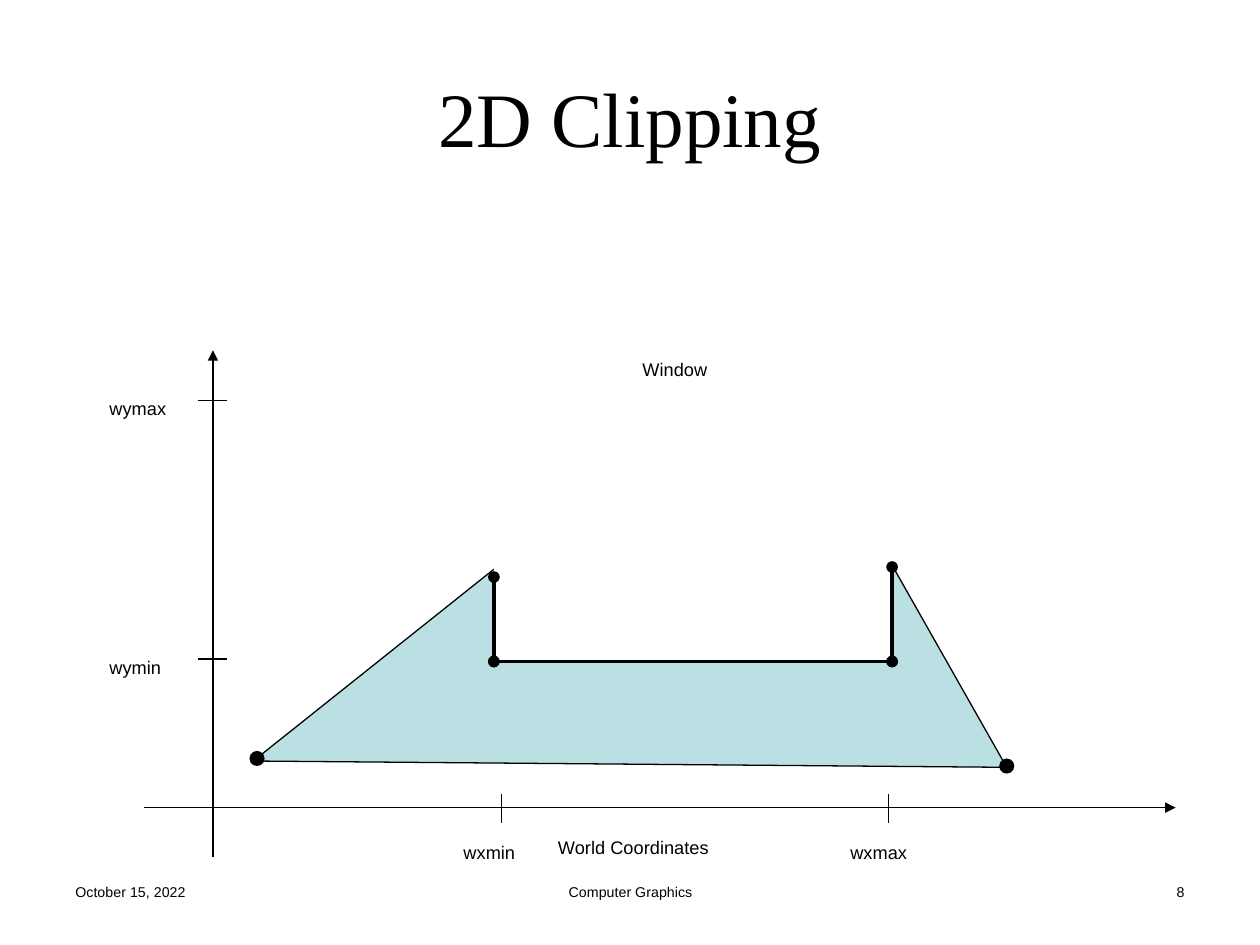
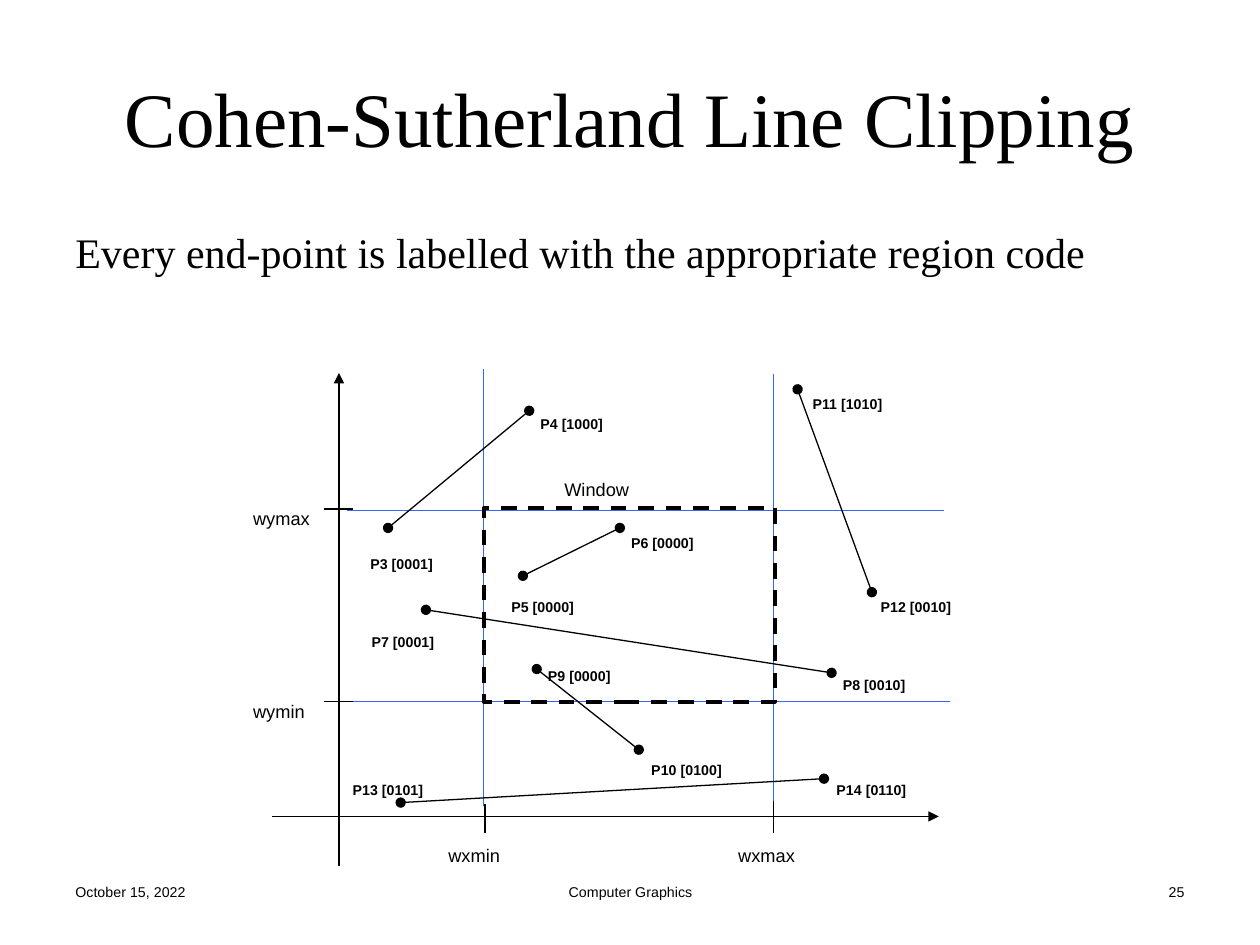
"""Builds two lecture slides on 2D clipping and Cohen-Sutherland region codes."""
import pptx
import pptx.dml.color
import pptx.enum.dml
import pptx.enum.shapes
import pptx.enum.text
import pptx.oxml
import pptx.util
from pptx.util import Inches

BLACK = pptx.dml.color.RGBColor(0, 0, 0)
WHITE = pptx.dml.color.RGBColor(255, 255, 255)
TEAL = pptx.dml.color.RGBColor(0xBB, 0xE0, 0xE3)
BLUE = pptx.dml.color.RGBColor(0x33, 0x66, 0xFF)
SANS, SERIF = "Arial", "Times New Roman"
SHAPE = pptx.enum.shapes.MSO_SHAPE
ALIGN = pptx.enum.text.PP_ALIGN
LOWERED = "-25000"

DATE, COURSE = "October 15, 2022", "Computer Graphics"

CLIPPING = {
    "title": "2D Clipping",
    "number": "8",
    "polygon": [(2.01, 6.04), (4.47, 4.08), (4.94, 4.8), (5.29, 3.72),
                (5.88, 4.34), (6.47, 3.41), (7.99, 6.09)],
    "axes": [(1.14, 6.41, 9.33, 6.41), (1.69, 6.8, 1.69, 2.78)],
    "ticks": [(1.8, 3.18, 1.57, 3.18), (1.8, 5.23, 1.57, 5.23),
              (3.98, 6.3, 3.98, 6.53), (7.05, 6.3, 7.05, 6.53)],
    "labels": [("wymax", 0.77, 2.94), ("wymin", 0.77, 4.99),
               ("wxmin", 3.58, 6.46), ("wxmax", 6.65, 6.46),
               ("Window", 5, 2.63), ("World Coordinates", 4.33, 6.42)],
    "vertices": [(1.98, 5.96), (7.93, 6.02)],
    "cleared": (3.92, 3.17, 3.17, 2.08),
    "edges": [(3.92, 4.58, 3.92, 5.25), (7.08, 4.5, 7.08, 5.25),
              (3.92, 5.25, 7.08, 5.25)],
}

REGIONS = {
    "title": "Cohen-Sutherland Line Clipping",
    "number": "25",
    "body": "Every end-point is labelled with the appropriate region code",
    "boundaries": [(3.84, 2.93, 3.84, 6.4), (6.14, 2.97, 6.14, 6.44),
                   (7.49, 4.05, 2.75, 4.05), (7.54, 5.57, 2.8, 5.57)],
    "axes": [(2.16, 6.48, 7.45, 6.48), (2.69, 6.87, 2.69, 2.96)],
    "window": (3.84, 4.03, 2.31, 1.54),
    "ticks": [(2.8, 4.04, 2.57, 4.04), (2.8, 5.57, 2.57, 5.57),
              (3.85, 6.38, 3.85, 6.61), (6.14, 6.36, 6.14, 6.61)],
    "labels": [("wymax", 1.91, 3.81), ("wymin", 1.91, 5.34),
               ("wxmin", 3.46, 6.48), ("wxmax", 5.76, 6.48),
               ("Window", 4.38, 3.58)],
    "segments": [(4.15, 4.57, 4.92, 4.19), (3.08, 4.19, 4.2, 3.26),
                 (4.26, 5.31, 5.07, 5.95), (3.38, 4.84, 6.6, 5.34),
                 (6.92, 4.7, 6.33, 3.09), (3.18, 6.37, 6.54, 6.18)],
    "codes": [("P3 [0001]", 2.84, 4.23), ("P6 [0000]", 4.91, 4.06),
              ("P5 [0000]", 3.96, 4.57), ("P7 [0001]", 2.85, 4.85),
              ("P10 [0100]", 5.07, 5.86), ("P9 [0000]", 4.25, 5.12),
              ("P4 [1000]", 4.19, 3.12), ("P8 [0010]", 6.59, 5.19),
              ("P12 [0010]", 6.89, 4.57), ("P11 [1010]", 6.35, 2.96),
              ("P13 [0101]", 2.7, 6.02), ("P14 [0110]", 6.54, 6.02)],
}


def style(p, size, name, bold=False):
    p.font.size = pptx.util.Pt(size)
    p.font.name = name
    p.font.bold = bold
    p.font.color.rgb = BLACK


def add_text(s, text, box, size, align=ALIGN.LEFT, name=SANS, bold=False):
    tf = s.shapes.add_textbox(*map(Inches, box)).text_frame
    tf.word_wrap = True
    p = tf.paragraphs[0]
    p.alignment = align
    r = p.add_run()
    r.text = text
    style(p, size, name, bold)
    if name == SANS:
        r._r.get_or_add_rPr().set("baseline", LOWERED)


def add_line(s, ends, color=BLACK, width=0.75, head=None, tail=None):
    line = s.shapes.add_connector(
        pptx.enum.shapes.MSO_CONNECTOR.STRAIGHT, *map(Inches, ends))
    line.line.color.rgb = color
    line.line.width = pptx.util.Pt(width)
    ln = line.line._get_or_add_ln()
    for tag, kind in (("headEnd", head), ("tailEnd", tail)):
        if kind:
            end = pptx.oxml.parse_xml(
                f'<a:{tag} xmlns:a="http://schemas.openxmlformats.org/'
                f'drawingml/2006/main" type="{kind}"/>')
            ln.append(end)
    line._element.spPr.append(pptx.oxml.parse_xml(
        '<a:effectLst xmlns:a="http://schemas.openxmlformats.org/'
        'drawingml/2006/main"/>'))


def paint(sp, fill=None, width=None):
    sp.shadow.inherit = False
    if fill is None:
        sp.fill.background()
    else:
        sp.fill.solid()
        sp.fill.fore_color.rgb = fill
    if width is None:
        sp.line.fill.background()
    else:
        sp.line.color.rgb = BLACK
        sp.line.width = pptx.util.Pt(width)
    return sp


def add_shape(s, kind, box, fill=None, width=None):
    return paint(s.shapes.add_shape(kind, *map(Inches, box)), fill, width)


def add_slide(prs, content):
    s = prs.slides.add_slide(prs.slide_layouts[5])
    title = s.shapes.title
    title.left, title.top, title.width, title.height = map(
        Inches, (0.5, 0.3, 9, 1.25))
    tf = title.text_frame
    tf.text = content["title"]
    tf.vertical_anchor = pptx.enum.text.MSO_ANCHOR.MIDDLE
    tf.paragraphs[0].alignment = ALIGN.CENTER
    style(tf.paragraphs[0], 44, SERIF)
    for text, left, width, align in (
            (DATE, 0.5, 2.33, ALIGN.LEFT),
            (COURSE, 3.42, 3.17, ALIGN.CENTER),
            (content["number"], 7.17, 2.33, ALIGN.RIGHT)):
        add_text(s, text, (left, 6.83, width, 0.52), 14, align)
    return s


def add_axes(s, content):
    for ends in content["axes"]:
        add_line(s, ends, tail="triangle")
    for ends in content["ticks"]:
        add_line(s, ends)
    for text, left, top in content["labels"]:
        width = 2.27 if len(text) > 6 else 1.09
        add_text(s, text, (left, top, width, 0.4), 18)


def build_clipping(prs):
    s = add_slide(prs, CLIPPING)
    points = [(Inches(x), Inches(y)) for x, y in CLIPPING["polygon"]]
    outline = s.shapes.build_freeform(*points[0])
    outline.add_line_segments(points[1:], close=True)
    paint(outline.convert_to_shape(), TEAL, 0.75)
    add_axes(s, CLIPPING)
    for left, top in CLIPPING["vertices"]:
        add_shape(s, SHAPE.OVAL, (left, top, 0.12, 0.12), BLACK)
    add_shape(s, SHAPE.RECTANGLE, CLIPPING["cleared"], WHITE)
    for ends in CLIPPING["edges"]:
        add_line(s, ends, width=2.25, head="oval", tail="oval")


def build_regions(prs):
    s = add_slide(prs, REGIONS)
    add_text(s, REGIONS["body"], (0.5, 1.75, 9, 1.28), 24, name=SERIF)
    for ends in REGIONS["boundaries"]:
        add_line(s, ends, BLUE)
    window = add_shape(s, SHAPE.RECTANGLE, REGIONS["window"], width=2.25)
    window.line.dash_style = pptx.enum.dml.MSO_LINE.DASH
    add_axes(s, REGIONS)
    for ends in REGIONS["segments"]:
        add_line(s, ends, head="oval", tail="oval")
    for text, left, top in REGIONS["codes"]:
        add_text(s, text, (left, top, 1.08, 0.33), 14, bold=True)


def main():
    prs = pptx.Presentation()
    prs.slide_width, prs.slide_height = Inches(10), Inches(7.5)
    build_clipping(prs)
    build_regions(prs)
    prs.save("out.pptx")


if __name__ == "__main__":
    main()
